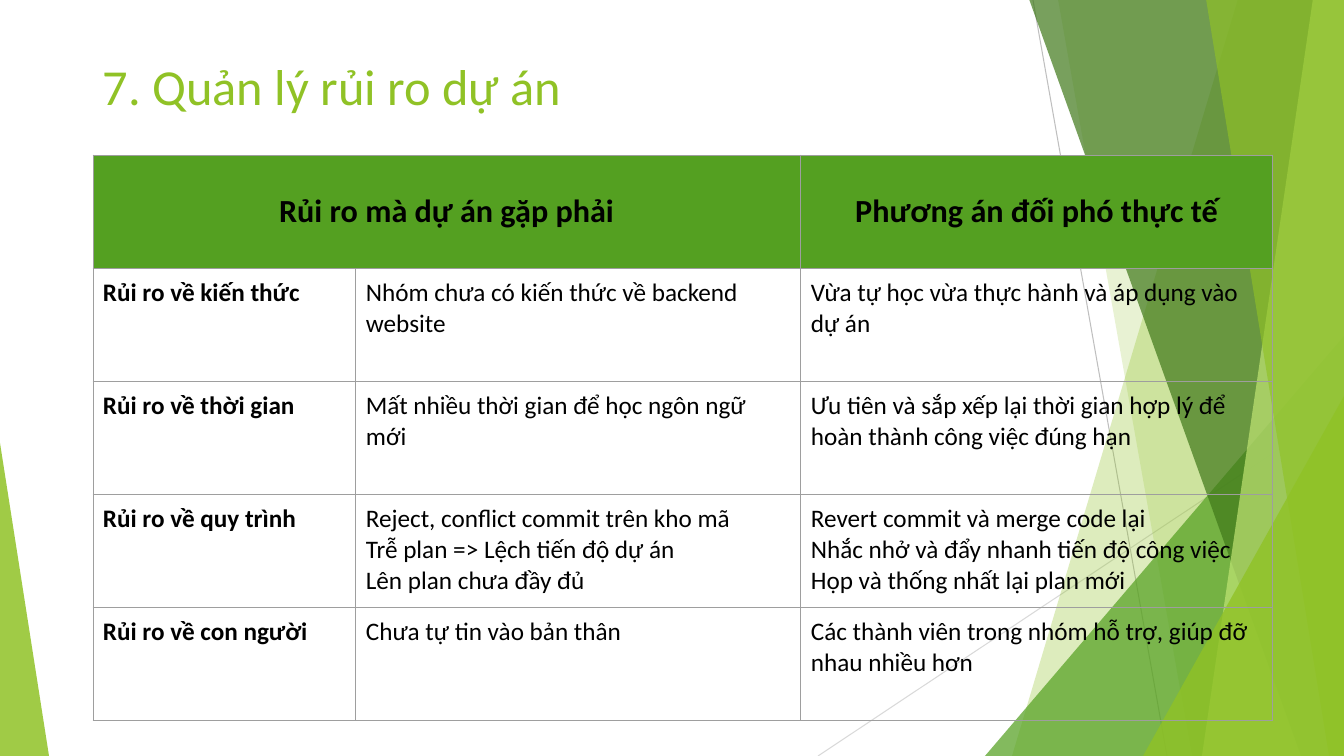
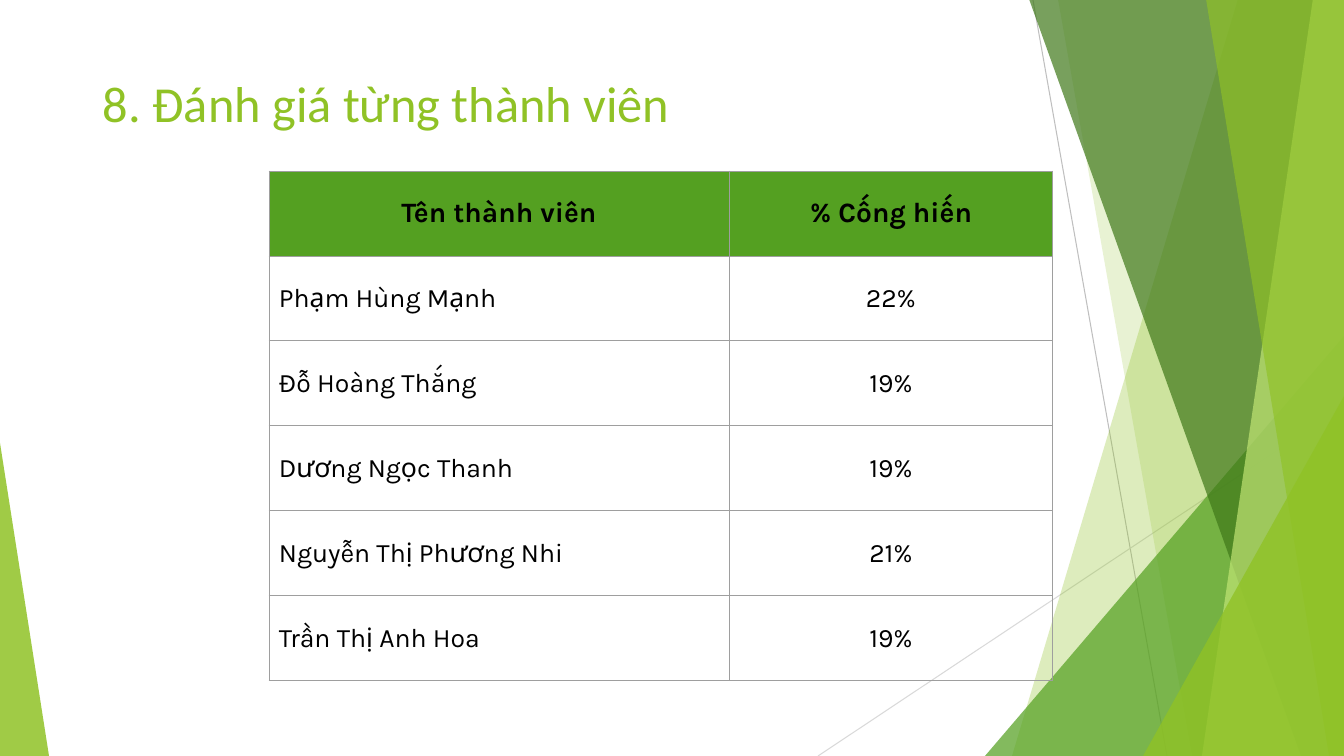
from lxml import etree
from pptx import Presentation
from pptx.dml.color import RGBColor
from pptx.enum.shapes import MSO_CONNECTOR, MSO_SHAPE
from pptx.enum.text import MSO_ANCHOR, PP_ALIGN
from pptx.oxml import parse_xml
from pptx.oxml.ns import nsdecls, qn
from pptx.util import Pt

STRAIGHT = MSO_CONNECTOR.STRAIGHT
TRIANGLE = MSO_SHAPE.ISOSCELES_TRIANGLE
TOP, MIDDLE = MSO_ANCHOR.TOP, MSO_ANCHOR.MIDDLE
LEFT, CENTER = PP_ALIGN.LEFT, PP_ALIGN.CENTER

PX = 9071  # EMU in one px, at 100.8 px to the inch
WIDTH, HEIGHT = 1344, 756
TITLE_LEFT, TITLE_WIDTH = 93, 1159
CELL_MARGIN = 10

COLORS = {
    "lime": "90C226",
    "green": "54A021",
    "forest": "3F7819",
    "pale": "C0E474",
    "line": "BFBFBF",
    "faint line": "D9D9D9",
    "border": "9E9E9E",
    "text": "000000",
}

# colour, start x, start y, end x, end y
LINES = [
    ("line", 1033, 0, 1167, HEIGHT),
    ("faint line", WIDTH, 406, 818, HEIGHT),
]
# Bands reach the right edge: colour, opacity %, top left x, bottom left x
# Triangles stand on the bottom edge: colour, opacity %, left, top, width, apex
FACETS = [
    ("lime", 30, 1238, 1012),
    ("lime", 20, 1058, 1192),
    ("green", 72, 985, 336, 359, 1),
    ("forest", 70, 1029, 1301),
    ("pale", 70, 1313, 1202),
    ("lime", 65, 1206, 1329),
    ("lime", 80, 1143, 396, 201, 1),
    ("lime", 85, 0, 443, 49, 0),
]

SLIDES = [
    {
        "title": "7. Quản lý rủi ro dự án",
        "title_top": 36, "title_height": 107,
        "left": 93, "top": 155, "columns": [263, 445, 472], "row_height": 113,
        "font": "Calibri", "header_size": 23, "body_size": 18,
        "body_anchor": TOP, "bold_columns": [0], "centered_columns": [],
        "merge_header": True,
        "rows": [
            ["Rủi ro mà dự án gặp phải", "", "Phương án đối phó thực tế"],
            ["Rủi ro về kiến thức",
             "Nhóm chưa có kiến thức về backend website",
             "Vừa tự học vừa thực hành và áp dụng vào dự án"],
            ["Rủi ro về thời gian",
             "Mất nhiều thời gian để học ngôn ngữ mới",
             "Ưu tiên và sắp xếp lại thời gian hợp lý để hoàn thành công việc đúng hạn"],
            ["Rủi ro về quy trình",
             "Reject, conflict commit trên kho mã\n"
             "Trễ plan => Lệch tiến độ dự án\n"
             "Lên plan chưa đầy đủ",
             "Revert commit và merge code lại\n"
             "Nhắc nhở và đẩy nhanh tiến độ công việc\n"
             "Họp và thống nhất lại plan mới"],
            ["Rủi ro về con người",
             "Chưa tự tin vào bản thân",
             "Các thành viên trong nhóm hỗ trợ, giúp đỡ nhau nhiều hơn"],
        ],
    },
    {
        "title": "8. Đánh giá từng thành viên",
        "title_top": 60, "title_height": 92,
        "left": 269, "top": 171, "columns": [460, 324], "row_height": 85,
        "font": "Karla", "header_size": 20, "body_size": 19,
        "body_anchor": MIDDLE, "bold_columns": [], "centered_columns": [1],
        "merge_header": False,
        "rows": [
            ["Tên thành viên", "% Cống hiến"],
            ["Phạm Hùng Mạnh", "22%"],
            ["Đỗ Hoàng Thắng", "19%"],
            ["Dương Ngọc Thanh", "19%"],
            ["Nguyễn Thị Phương Nhi", "21%"],
            ["Trần Thị Anh Hoa", "19%"],
        ],
    },
]


def draw_background(slide):
    for color, start_x, start_y, end_x, end_y in LINES:
        line = slide.shapes.add_connector(
            STRAIGHT, start_x * PX, start_y * PX, end_x * PX, end_y * PX)
        line.line.color.rgb = RGBColor.from_string(COLORS[color])
        line.line.width = Pt(0.75)
        etree.SubElement(line._element.spPr, qn("a:effectLst"))

    for color, opacity, *geometry in FACETS:
        if len(geometry) == 2:
            top_x, bottom_x = geometry
            builder = slide.shapes.build_freeform(top_x, -1, scale=PX)
            builder.add_line_segments(
                [(WIDTH, -1), (WIDTH, HEIGHT), (bottom_x, HEIGHT)], close=True)
            # The builder scale is EMU per local unit, so points stay in px
            shape = builder.convert_to_shape()
        else:
            left, top, width, apex = geometry
            shape = slide.shapes.add_shape(
                TRIANGLE, left * PX, top * PX, width * PX, (HEIGHT - top) * PX)
            shape.adjustments[0] = apex
        shape.shadow.inherit = False
        shape.line.fill.background()
        shape.fill.solid()
        shape.fill.fore_color.rgb = RGBColor.from_string(COLORS[color])
        color_element = shape._element.spPr.find(qn("a:solidFill"))[0]
        etree.SubElement(color_element, qn("a:alpha"), val=str(opacity * 1000))


def add_borders(cell):
    properties = cell._tc.get_or_add_tcPr()
    for position, side in enumerate(["lnL", "lnR", "lnT", "lnB"]):
        properties.insert(position, parse_xml(
            f'<a:{side} {nsdecls("a")} w="{Pt(0.75)}"><a:solidFill>'
            f'<a:srgbClr val="{COLORS["border"]}"/></a:solidFill></a:{side}>'))


presentation = Presentation()
presentation.slide_width = WIDTH * PX
presentation.slide_height = HEIGHT * PX
blank_layout = presentation.slide_layouts[6]

for content in SLIDES:
    slide = presentation.slides.add_slide(blank_layout)
    draw_background(slide)

    title = slide.shapes.add_textbox(
        TITLE_LEFT * PX, content["title_top"] * PX,
        TITLE_WIDTH * PX, content["title_height"] * PX)
    title.text_frame.word_wrap = True
    title.text_frame.vertical_anchor = MIDDLE
    paragraph = title.text_frame.paragraphs[0]
    paragraph.text = content["title"]
    paragraph.line_spacing = 0.9
    paragraph.font.name = "Calibri"
    paragraph.font.size = Pt(36)
    paragraph.font.color.rgb = RGBColor.from_string(COLORS["lime"])

    rows, columns = content["rows"], content["columns"]
    table = slide.shapes.add_table(
        len(rows), len(columns), content["left"] * PX, content["top"] * PX,
        sum(columns) * PX, len(rows) * content["row_height"] * PX).table
    table.first_row = False
    table.horz_banding = False
    for column, width in zip(table.columns, columns):
        column.width = width * PX

    for row_index, row in enumerate(rows):
        is_header = row_index == 0
        for column_index, text in enumerate(row):
            cell = table.cell(row_index, column_index)
            cell.text = text
            cell.margin_left = cell.margin_right = CELL_MARGIN * PX
            cell.margin_top = cell.margin_bottom = CELL_MARGIN * PX
            cell.vertical_anchor = MIDDLE if is_header else content["body_anchor"]
            if is_header:
                cell.fill.solid()
                cell.fill.fore_color.rgb = RGBColor.from_string(COLORS["green"])
            else:
                cell.fill.background()
            add_borders(cell)

            centered = is_header or column_index in content["centered_columns"]
            for paragraph in cell.text_frame.paragraphs:
                paragraph.alignment = CENTER if centered else LEFT
                font = paragraph.font
                font.name = content["font"]
                font.size = Pt(content["header_size" if is_header else "body_size"])
                font.bold = is_header or column_index in content["bold_columns"]
                font.color.rgb = RGBColor.from_string(COLORS["text"])

    if content["merge_header"]:
        table.cell(0, 0).merge(table.cell(0, 1))

presentation.save("out.pptx")
